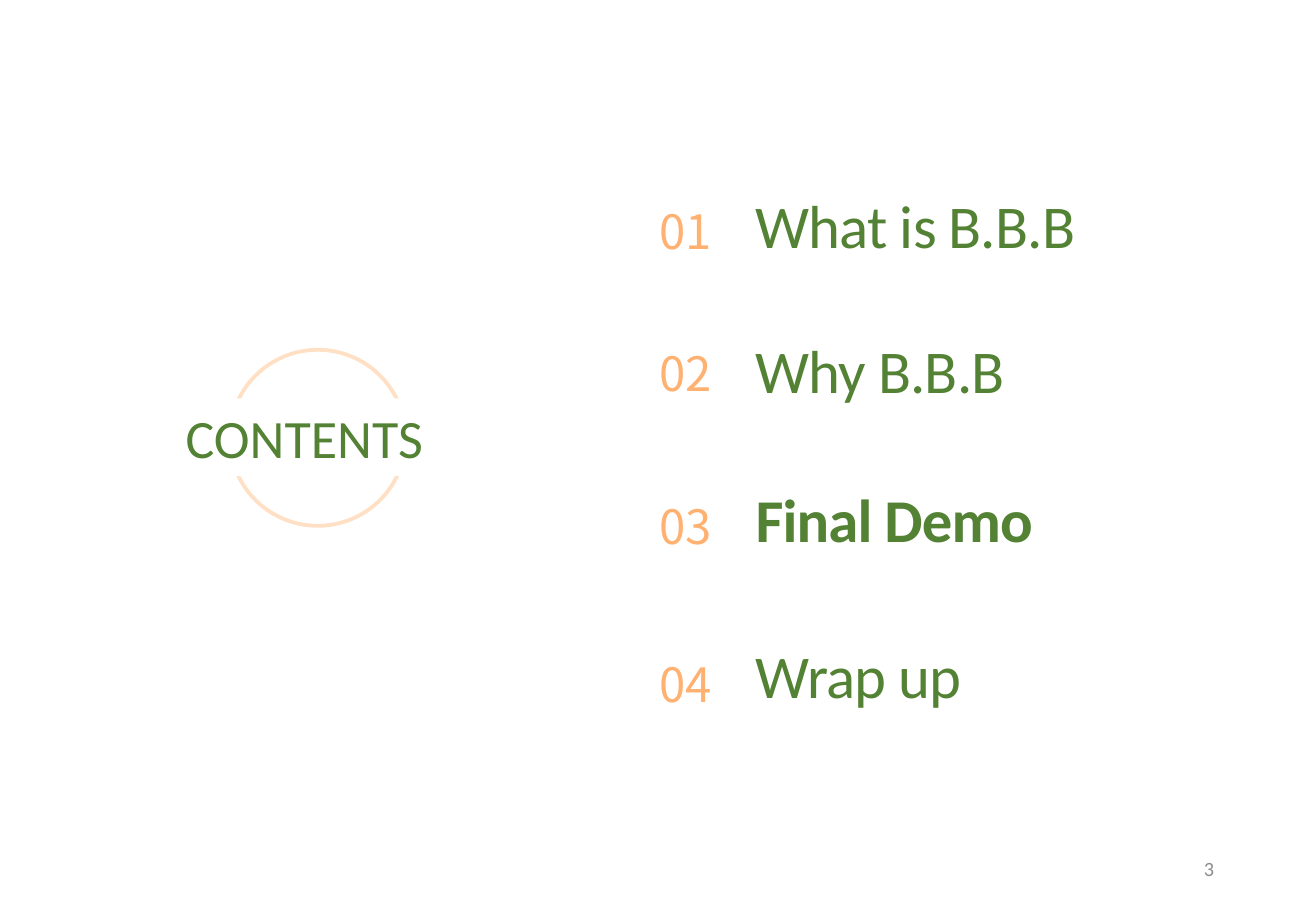
import pptx
import pptx.util
import pptx.dml.color
import pptx.enum.shapes
import pptx.enum.text

WIDTH, HEIGHT = pptx.util.Inches(10.83), pptx.util.Inches(7.5)
COLORS = {"green": "548235", "orange": "FFB171", "peach": "FFE0C5",
          "gray": "8C8C8C", "white": "FFFFFF"}
ALIGN = pptx.enum.text.PP_ALIGN
ANCHOR = pptx.enum.text.MSO_ANCHOR
SHAPE = pptx.enum.shapes.MSO_SHAPE

TITLE_LEFT, TITLE_HEIGHT = 56.51, 9.47
NUMBER_LEFT, NUMBER_WIDTH, NUMBER_HEIGHT = 47.37, 9.51, 9.87
CHAPTERS = [
    {"title": "What is B.B.B", "top": 20, "number_top": 18.4, "width": 27.79},
    {"title": "Why B.B.B", "top": 35.87, "number_top": 34, "width": 22.35},
    {"title": "Final Demo", "top": 52.27, "number_top": 50.8, "width": 26.13, "bold": True},
    {"title": "Wrap up", "top": 69.33, "number_top": 68.13, "width": 35.73},
]


def color(name):
    """Return the named colour."""
    return pptx.dml.color.RGBColor.from_string(COLORS[name])


def place(left, top, width, height):
    """Turn percentages of the slide into lengths."""
    return (int(WIDTH * left / 100), int(HEIGHT * top / 100),
            int(WIDTH * width / 100), int(HEIGHT * height / 100))


def write(box, text, size, ink, font="Calibri", bold=False, align=ALIGN.LEFT,
          anchor=ANCHOR.TOP, line_spacing=None, tracking=None, wrap=True):
    """Put one formatted line of text into a box."""
    frame = box.text_frame
    frame.word_wrap = wrap
    frame.vertical_anchor = anchor
    para = frame.paragraphs[0]
    para.alignment = align
    para.line_spacing = line_spacing
    span = para.add_run()
    span.text = text
    span.font.name = font
    span.font.size = pptx.util.Pt(size)
    span.font.bold = bold
    span.font.color.rgb = color(ink)
    if tracking is not None:
        span.font._element.set("spc", str(int(tracking * 100)))


def add_text(page, area, text, **style):
    """Add a text box with one line."""
    write(page.shapes.add_textbox(*place(*area)), text, **style)


def add_shape(shapes, kind, area, fill=None, line=None):
    """Add a flat shape with an optional fill and outline."""
    shape = shapes.add_shape(kind, *place(*area))
    shape.shadow.inherit = False
    if fill:
        shape.fill.solid()
        shape.fill.fore_color.rgb = color(fill)
    else:
        shape.fill.background()
    if line:
        shape.line.color.rgb = color(line)
        shape.line.width = pptx.util.Pt(2.25)
    else:
        shape.line.fill.background()
    return shape


def add_heading(page):
    """Add the ring with the heading across it."""
    badge = page.shapes.add_group_shape()
    add_shape(badge.shapes, SHAPE.OVAL, (17.45, 38.4, 13.39, 19.33), line="peach")
    band = add_shape(badge.shapes, SHAPE.RECTANGLE, (13.2, 43.73, 20.13, 8.53), fill="white")
    write(band, "CONTENTS", size=32, ink="green", wrap=False)


def add_chapter(page, number, chapter):
    """Add one numbered chapter title."""
    add_text(page, (NUMBER_LEFT, chapter["number_top"], NUMBER_WIDTH, NUMBER_HEIGHT),
             f"{number:02d}", size=28, ink="orange", font="Noto Sans CJK KR",
             align=ALIGN.CENTER, line_spacing=1.5)
    add_text(page, (TITLE_LEFT, chapter["top"], chapter["width"], TITLE_HEIGHT),
             chapter["title"], size=36, ink="green", bold=chapter.get("bold", False),
             tracking=-0.5)


def main():
    """Build the contents slide and save it."""
    deck = pptx.Presentation()
    deck.slide_width, deck.slide_height = WIDTH, HEIGHT
    page = deck.slides.add_slide(deck.slide_layouts[6])
    add_heading(page)
    for number, chapter in enumerate(CHAPTERS, start=1):
        add_chapter(page, number, chapter)
    add_text(page, (70.64, 92.67, 22.53, 5.33), "3", size=12, ink="gray",
             align=ALIGN.RIGHT, anchor=ANCHOR.MIDDLE)
    deck.save("out.pptx")


if __name__ == "__main__":
    main()
